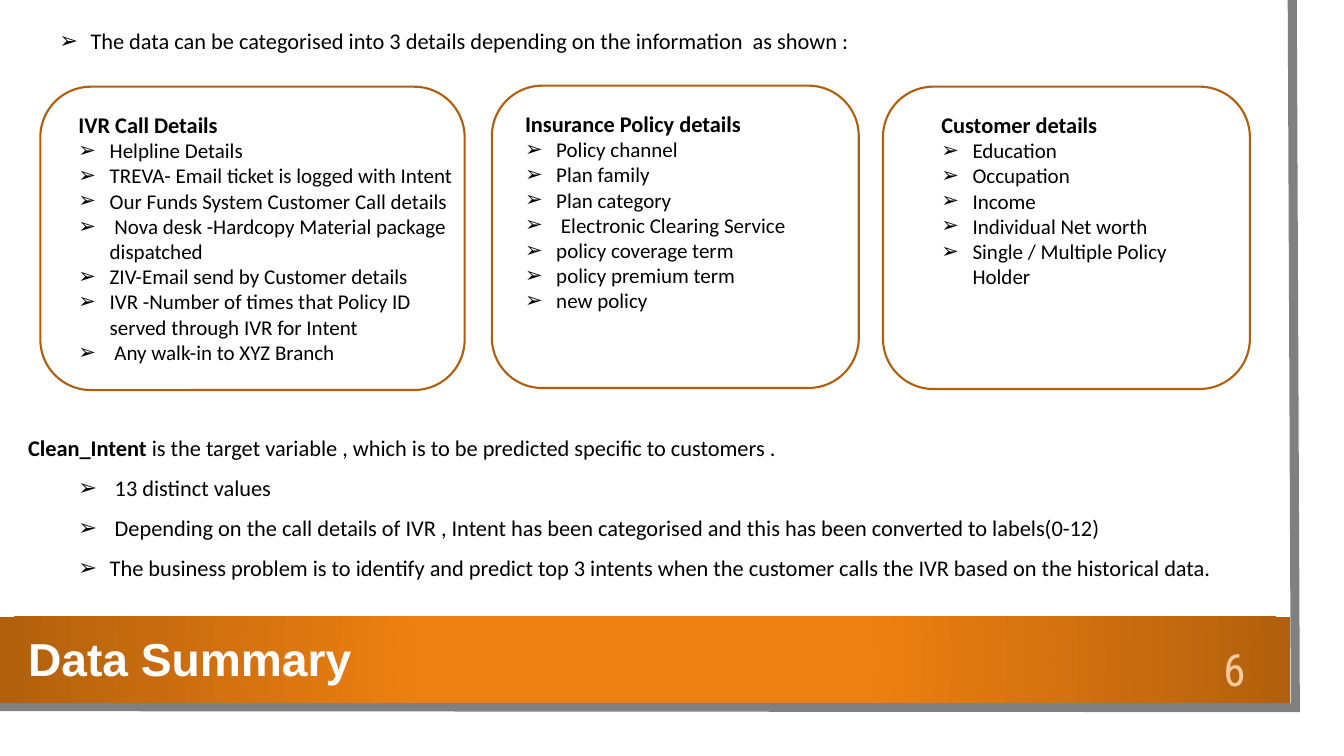
import dataclasses

import lxml.etree
import pptx
import pptx.dml.color
import pptx.enum.shapes
import pptx.enum.text
import pptx.oxml
import pptx.oxml.ns
import pptx.util

CELL = 0.1
PAGE_COLUMNS, PAGE_ROWS = 133.33, 75
BULLET = "➢"


@dataclasses.dataclass(frozen=True)
class Theme:
    """Colours, fonts and type sizes of the slide."""
    ink: str = "000000"
    paper: str = "FFFFFF"
    edge: str = "808080"
    outline: str = "B05F0D"
    band_centre: str = "EE8011"
    band_rim: str = "B2600D"
    number: str = "F8CCA0"
    body_font: str = "Calibri"
    title_font: str = "Arial"
    number_font: str = "Roboto Condensed"
    body_size: int = 16
    item_size: int = 15
    title_size: int = 33
    number_size: int = 32


@dataclasses.dataclass(frozen=True)
class Box:
    """A rectangle in grid columns and rows."""
    left: float
    top: float
    width: float
    height: float

    def inside(self, left, top, width, height):
        """Return a box placed relative to this one."""
        return Box(self.left + left, self.top + top, width, height)

    def place(self):
        """Return the four lengths that python-pptx expects."""
        return [cells(value) for value in (self.left, self.top, self.width, self.height)]


THEME = Theme()

CARDS = [
    (Box(4, 8.6, 42.1, 30.1), -2.2, 45.9, "IVR Call Details", [
        "Helpline Details",
        "TREVA- Email ticket is logged with Intent",
        "Our Funds System Customer Call details",
        " Nova desk -Hardcopy Material package dispatched",
        "ZIV-Email send by Customer details",
        "IVR -Number of times that Policy ID served through IVR for Intent",
        " Any walk-in to XYZ Branch",
    ]),
    (Box(48.8, 8.5, 36.4, 30), -2.7, 35.1, "Insurance Policy details", [
        "Policy channel",
        "Plan family",
        "Plan category",
        " Electronic Clearing Service",
        "policy coverage term",
        "policy premium term",
        "new policy",
    ]),
    (Box(87.6, 8.6, 36.4, 30), -0.2, 32.7, "Customer details", [
        "Education",
        "Occupation",
        "Income",
        "Individual Net worth",
        "Single / Multiple Policy Holder",
    ]),
]

TARGET_POINTS = [
    " 13 distinct values",
    " Depending on the call details of IVR , Intent has been categorised and this has been converted to labels(0-12)",
    "The business problem is to identify and predict top 3 intents when the customer calls the IVR "
    "based on the historical data.",
]


def cells(count):
    """Convert grid cells to a length."""
    return pptx.util.Inches(count * CELL)


def colour(value):
    """Return a colour object for a hex value."""
    return pptx.dml.color.RGBColor.from_string(value)


def add_frame(page, box):
    """Add an empty wrapping text frame."""
    frame = page.shapes.add_textbox(*box.place()).text_frame
    frame.word_wrap = True
    return frame


def write(frame, text, lead="", size=THEME.body_size, font=THEME.body_font, ink=THEME.ink,
          bold=False, margin=0, bullet=False, spacing=None, align=None):
    """Write one paragraph, with an optional bold lead before the text."""
    first = frame.paragraphs[0]
    para = frame.add_paragraph() if first.runs else first
    para.line_spacing, para.alignment = spacing, align
    properties = para._p.get_or_add_pPr()
    properties.set("marL", str(cells(margin)))
    properties.set("indent", str(cells(-3.1 if bullet else 0)))
    if bullet:
        for tag, key, value in (("a:buFont", "typeface", "Arial"), ("a:buChar", "char", BULLET)):
            lxml.etree.SubElement(properties, pptx.oxml.ns.qn(tag)).set(key, value)
    for words, heavy in ((lead, True), (text, bold)):
        if words:
            span = para.add_run()
            span.text = words
            span.font.size, span.font.name, span.font.bold = pptx.util.Pt(size), font, heavy
            span.font.color.rgb = colour(ink)


def draw_page_edge(page, box):
    """Draw the grey edge along the right and bottom of the sheet."""
    right, bottom = box.left + box.width, box.top + box.height
    builder = page.shapes.build_freeform(cells(right - 0.3), cells(box.top))
    builder.add_line_segments([(cells(right), cells(bottom)),
                               (cells(box.left), cells(bottom - 0.1))], close=False)
    edge = builder.convert_to_shape()
    edge.shadow.inherit = False
    edge.fill.background()
    edge.line.color.rgb = colour(THEME.edge)
    edge.line.width = pptx.util.Pt(6.5)
    line = edge._element.spPr.find(pptx.oxml.ns.qn("a:ln"))
    lxml.etree.SubElement(line, pptx.oxml.ns.qn("a:miter")).set("lim", "800000")


def draw_title_band(page, box, title, number):
    """Draw the shaded band with the title and the page number."""
    band = page.shapes.add_shape(pptx.enum.shapes.MSO_SHAPE.RECTANGLE, *box.place())
    band.shadow.inherit = False
    band.line.fill.background()
    band.fill.gradient()
    gradient = band._element.spPr.find(pptx.oxml.ns.qn("a:gradFill"))
    gradient.getparent().replace(gradient, pptx.oxml.parse_xml(
        f'<a:gradFill {pptx.oxml.ns.nsdecls("a")} rotWithShape="1"><a:gsLst>'
        f'<a:gs pos="34000"><a:srgbClr val="{THEME.band_centre}"/></a:gs>'
        f'<a:gs pos="100000"><a:srgbClr val="{THEME.band_rim}"/></a:gs></a:gsLst>'
        '<a:path path="circle"><a:fillToRect l="50000" t="50000" r="50000" b="50000"/></a:path>'
        '</a:gradFill>'))
    write(add_frame(page, box.inside(1.8, 0.8, 65.6, 6.6)), title, size=THEME.title_size,
          font=THEME.title_font, ink=THEME.paper, bold=True)
    frame = add_frame(page, box.inside(117.5, 2.4, 9.9, 5.5))
    frame.vertical_anchor = pptx.enum.text.MSO_ANCHOR.MIDDLE
    write(frame, number, size=THEME.number_size, font=THEME.number_font, ink=THEME.number,
          align=pptx.enum.text.PP_ALIGN.CENTER)


def draw_card(page, box, shift, text_width, heading, items):
    """Draw a rounded card with a heading and its bulleted items."""
    card = page.shapes.add_shape(pptx.enum.shapes.MSO_SHAPE.ROUNDED_RECTANGLE, *box.place())
    card.shadow.inherit = False
    card.fill.background()
    card.line.color.rgb = colour(THEME.outline)
    card.line.width = pptx.util.Pt(1.5)
    frame = add_frame(page, box.inside(shift, 1.9, text_width, box.height - 4))
    write(frame, heading, bold=True, margin=5)
    for item in items:
        write(frame, item, size=THEME.item_size, margin=8.1, bullet=True)


def draw_intro(page, box):
    """Write the opening line above the cards."""
    write(add_frame(page, box), "The data can be categorised into 3 details depending on the "
          "information  as shown :", margin=3.1, bullet=True)


def draw_target(page, box):
    """Write the notes on the target variable."""
    frame = add_frame(page, box)
    write(frame, "is the target variable , which is to be predicted specific to customers .",
          lead="Clean_Intent ", spacing=1.5)
    for point in TARGET_POINTS:
        write(frame, point, margin=8.1, bullet=True, spacing=1.5)


def main():
    """Build and save the deck."""
    deck = pptx.Presentation()
    deck.slide_width, deck.slide_height = cells(PAGE_COLUMNS), cells(PAGE_ROWS)
    page = deck.slides.add_slide(deck.slide_layouts[6])
    draw_page_edge(page, Box(-0.3, 0, 128.8, 70.2))
    draw_title_band(page, Box(0, 61.2, 128, 8.5), "Data Summary", "6")
    draw_intro(page, Box(4.9, 2.2, 101, 3.7))
    for card in CARDS:
        draw_card(page, *card)
    draw_target(page, Box(1.8, 41.2, 122.2, 20.8))
    deck.save("out.pptx")


if __name__ == "__main__":
    main()
